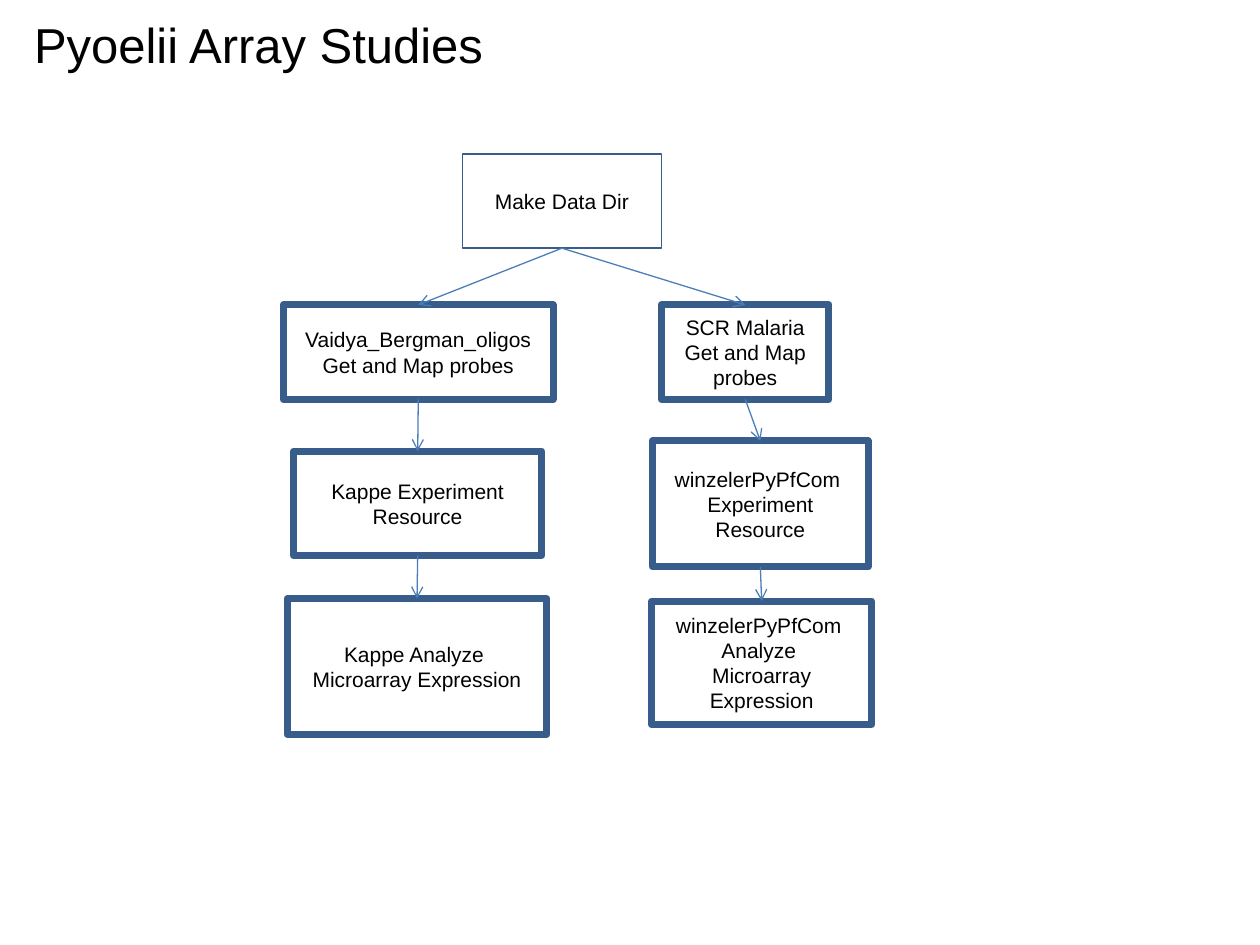
import pptx
import pptx.dml.color
import pptx.enum.shapes
import pptx.enum.text
import pptx.oxml.ns
import pptx.util
from lxml import etree

Inches = pptx.util.Inches
Pt = pptx.util.Pt
Align = pptx.enum.text.PP_ALIGN
BLACK = pptx.dml.color.RGBColor(0x00, 0x00, 0x00)
NAVY = pptx.dml.color.RGBColor(0x38, 0x5D, 0x8A)
BLUE = pptx.dml.color.RGBColor(0x4A, 0x7E, 0xBB)
BOTTOM, TOP = 2, 0


class FlowSlide:
    """Draws a titled flow chart in one style on one slide."""

    font_name = "Arial"

    def __init__(self, page):
        self.page = page

    def format_text(self, frame, lines, size, alignment):
        frame.word_wrap = True
        frame.vertical_anchor = pptx.enum.text.MSO_ANCHOR.MIDDLE
        frame.text = "\n".join(lines)
        for para in frame.paragraphs:
            para.alignment = alignment
            para.font.name = self.font_name
            para.font.size = Pt(size)
            para.font.color.rgb = BLACK

    def title(self, text, left, top, width, height):
        box = self.page.shapes.title
        box.left, box.top = Inches(left), Inches(top)
        box.width, box.height = Inches(width), Inches(height)
        self.format_text(box.text_frame, [text], 28, Align.LEFT)

    def step(self, lines, left, top, width, height, border=4):
        box = self.page.shapes.add_shape(
            pptx.enum.shapes.MSO_SHAPE.RECTANGLE,
            Inches(left), Inches(top), Inches(width), Inches(height))
        box.shadow.inherit = False
        box.fill.background()
        box.line.color.rgb = NAVY
        box.line.width = Pt(border)
        self.format_text(box.text_frame, lines, 12, Align.CENTER)
        return box

    def arrow(self, source, target):
        connector = self.page.shapes.add_connector(
            pptx.enum.shapes.MSO_CONNECTOR.STRAIGHT, 0, 0, 0, 0)
        connector.begin_connect(source, BOTTOM)
        connector.end_connect(target, TOP)
        connector.line.color.rgb = BLUE
        connector.line.width = Pt(0.75)
        qn = pptx.oxml.ns.qn
        etree.SubElement(connector.line._get_or_add_ln(), qn("a:tailEnd"), type="arrow")
        etree.SubElement(connector._element.spPr, qn("a:effectLst"))


def main():
    deck = pptx.Presentation()
    deck.slide_width, deck.slide_height = Inches(10), Inches(7.5)
    chart = FlowSlide(deck.slides.add_slide(deck.slide_layouts[5]))
    chart.title("Pyoelii Array Studies", 0.17, 0.08, 7.75, 0.53)

    root = chart.step(["Make Data Dir"], 3.67, 1.22, 1.58, 0.75, border=1)
    branches = [
        [
            (["Vaidya_Bergman_oligos", "Get and Map probes"], 2.25, 2.42, 2.14, 0.75),
            (["Kappe Experiment", "Resource"], 2.33, 3.58, 1.97, 0.83),
            (["Kappe Analyze ", "Microarray Expression"], 2.28, 4.75, 2.06, 1.08),
        ],
        [
            (["SCR Malaria", "Get and Map probes"], 5.25, 2.42, 1.33, 0.75),
            (["winzelerPyPfCom ", "Experiment Resource"], 5.18, 3.5, 1.71, 1),
            (["winzelerPyPfCom ", "Analyze ", "Microarray Expression"],
             5.17, 4.77, 1.75, 0.98),
        ],
    ]
    for branch in branches:
        previous = root
        for step in branch:
            current = chart.step(*step)
            chart.arrow(previous, current)
            previous = current

    deck.save("out.pptx")


if __name__ == "__main__":
    main()
